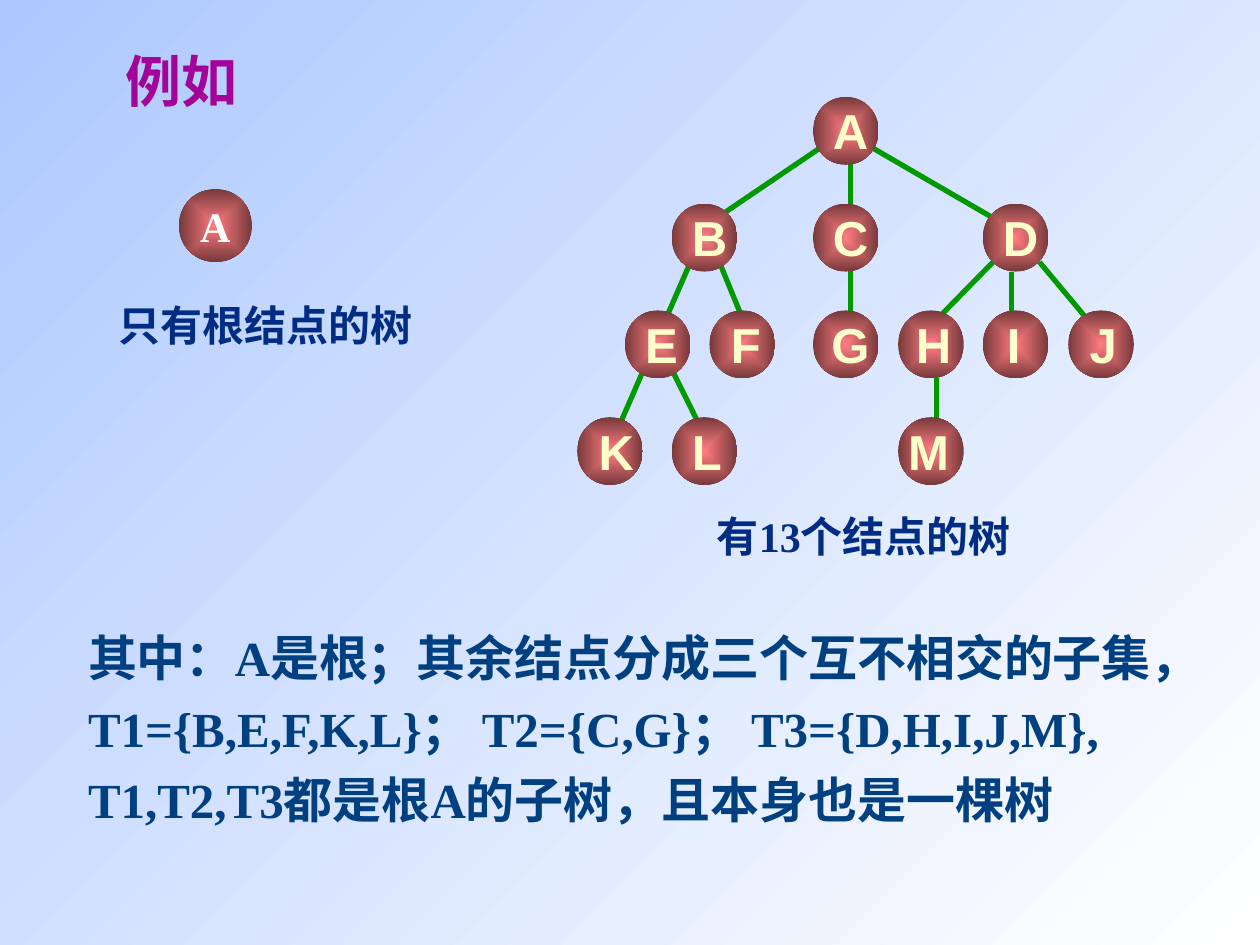
from lxml import etree
from pptx import Presentation
from pptx.dml.color import RGBColor
from pptx.enum.shapes import MSO_CONNECTOR, MSO_SHAPE
from pptx.enum.text import MSO_ANCHOR, MSO_AUTO_SIZE, PP_ALIGN
from pptx.oxml import parse_xml
from pptx.oxml.ns import nsdecls, qn
from pptx.util import Pt

THEME = {
    "sky": ("ADC8FF", "FFFFFF"), "ball": ("FF7C80", "76393B"), "edge": "009900",
    "serif": "Times New Roman", "sans": "Arial",
    "title": ("A30398", 32), "caption": ("002C84", 24), "body": ("004080", 28),
    "node": ("FFFFCC", 28), "single": ("FFFFFF", 24),
}

TREE_TOP, LEVEL_STEP = 55.4, 61
NODE_W, NODE_H = 37.5, 38.8
LABEL_TOP, LABEL_H = 54, 41

# name, level, left of node, left and width of label
NODES = [
    ("A", 0, 464.6, 468.7, 34.6),
    ("B", 1, 383.8, 388.1, 34.6),
    ("C", 1, 464.6, 468.7, 34.6),
    ("D", 1, 561.6, 565.9, 34.6),
    ("E", 2, 357.1, 361.4, 33.1),
    ("F", 2, 405.4, 410.4, 31.7),
    ("G", 2, 464.6, 468, 36),
    ("H", 2, 513.2, 516.2, 34.6),
    ("I", 2, 561.6, 568.1, 22.3),
    ("J", 2, 610.4, 615.6, 29.5),
    ("K", 3, 329.8, 334.8, 34.6),
    ("L", 3, 383.8, 388.1, 31.7),
    ("M", 3, 513.2, 511.9, 37.4),
]
EDGES = [
    (594, 149.8, 626.4, 188.6),
    (567.4, 149.8, 535, 182.9),
    (578.2, 155.5, 578.2, 182.9),
    (535, 216, 535, 249.1),
    (496.8, 83.5, 572.4, 127.4),
    (470.2, 83.5, 405.4, 127.4),
    (486, 88.6, 486, 216),
    (411.1, 149.8, 427, 188.6),
    (383.8, 211, 400.3, 244.1),
    (394.6, 149.8, 346.3, 260.6),
]
SINGLE = ("A", 102.2, 108, 41.8)
TEXTS = [
    ("title", 64.8, 23, 78.5, 46.1, 1, ["例如"]),
    ("caption", 60.5, 167.8, 182.2, 36, 1, ["只有根结点的树"]),
    ("caption", 402.5, 288, 193.7, 36, 1, ["有13个结点的树"]),
    ("body", 43.2, 348.5, 663.1, 128.2, 1.2, [
        "其中：A是根；其余结点分成三个互不相交的子集，",
        "T1={B,E,F,K,L}； T2={C,G}； T3={D,H,I,J,M},",
        "T1,T2,T3都是根A的子树，且本身也是一棵树",
    ]),
]


def set_gradient(fill, colors):
    fill.gradient()
    for stop, color in zip(fill.gradient_stops, colors):
        stop.color.rgb = RGBColor.from_string(color)


def write(sp, lines, style, font, align=PP_ALIGN.LEFT, spacing=1):
    color, size = THEME[style]
    tf = sp.text_frame
    tf.word_wrap = False
    for i, line in enumerate(lines):
        p = tf.paragraphs[0] if i == 0 else tf.add_paragraph()
        p.text = line
        p.alignment = align
        p.line_spacing = spacing
        p.font.name = THEME[font]
        p.font.size = Pt(size)
        p.font.bold = True
        p.font.color.rgb = RGBColor.from_string(color)
    return tf


def add_text(s, box, *args, **kwargs):
    sp = s.shapes.add_textbox(*map(Pt, box))
    tf = write(sp, *args, **kwargs)
    tf.auto_size = MSO_AUTO_SIZE.SHAPE_TO_FIT_TEXT
    return tf


def add_ball(s, *box):
    sp = s.shapes.add_shape(MSO_SHAPE.OVAL, *map(Pt, box))
    sp.shadow.inherit = False
    sp.line.fill.background()
    set_gradient(sp.fill, THEME["ball"])
    grad = sp._element.spPr.find(qn("a:gradFill"))
    grad.replace(grad.find(qn("a:lin")), parse_xml(
        f'<a:path {nsdecls("a")} path="rect">'
        '<a:fillToRect l="50000" t="50000" r="50000" b="50000"/></a:path>'))
    return sp


def add_edge(s, *ends):
    line = s.shapes.add_connector(MSO_CONNECTOR.STRAIGHT, *map(Pt, ends))
    line.line.color.rgb = RGBColor.from_string(THEME["edge"])
    line.line.width = Pt(3)
    etree.SubElement(line._element.spPr, qn("a:effectLst"))


def main():
    prs = Presentation()
    prs.slide_width, prs.slide_height = Pt(720), Pt(540)
    s = prs.slides.add_slide(prs.slide_layouts[6])
    bg = s.background.fill
    set_gradient(bg, THEME["sky"])
    bg.gradient_angle = 315

    for edge in EDGES:
        add_edge(s, *edge)
    for _, level, left, _, _ in NODES:
        add_ball(s, left, TREE_TOP + level * LEVEL_STEP, NODE_W, NODE_H)
    for name, level, _, left, width in NODES:
        box = (left, LABEL_TOP + level * LEVEL_STEP, width, LABEL_H)
        tf = add_text(s, box, [name], "node", "sans", PP_ALIGN.CENTER)
        tf.vertical_anchor = MSO_ANCHOR.MIDDLE

    name, left, top, size = SINGLE
    root = add_ball(s, left, top, size, size)
    tf = write(root, [name], "single", "serif", PP_ALIGN.CENTER)
    tf.vertical_anchor = MSO_ANCHOR.MIDDLE

    for style, left, top, width, height, spacing, lines in TEXTS:
        add_text(s, (left, top, width, height), lines, style, "serif", spacing=spacing)
    prs.save("out.pptx")


if __name__ == "__main__":
    main()
